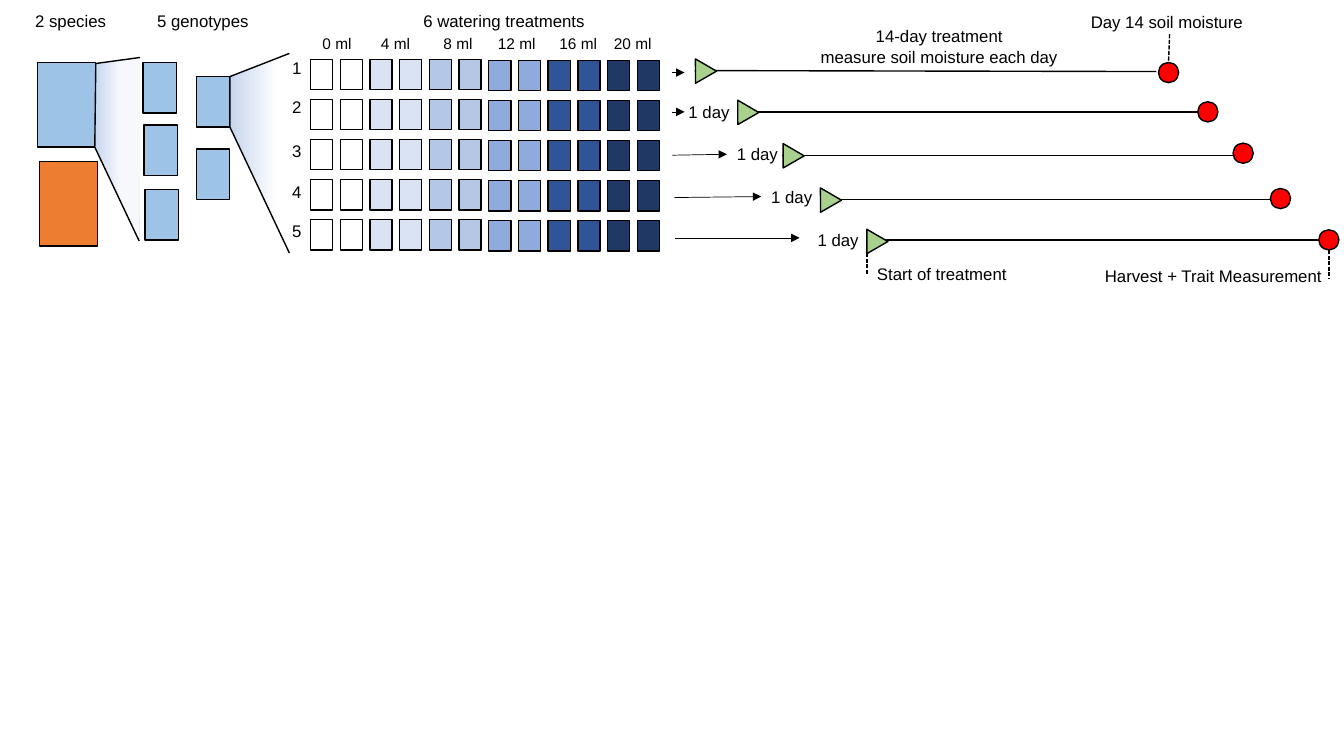
from pptx import Presentation
from pptx.util import Inches, Pt
from pptx.dml.color import RGBColor
from pptx.enum.dml import MSO_LINE
from pptx.enum.shapes import MSO_CONNECTOR as Link, MSO_SHAPE as Kind
from pptx.enum.text import MSO_AUTO_SIZE as Fit, PP_ALIGN as Align
from pptx.oxml.ns import qn
from lxml.etree import SubElement

BLACK = RGBColor(0x00, 0x00, 0x00)
BLUE = RGBColor(0x9D, 0xC3, 0xE6)
ORANGE = RGBColor(0xED, 0x7D, 0x31)
GREEN = RGBColor(0xA9, 0xD1, 0x8E)
RED = RGBColor(0xFF, 0x00, 0x00)
HAZE = RGBColor(0xC7, 0xD5, 0xED)
PALE = RGBColor(0xF6, 0xF8, 0xFC)
WHITE = RGBColor(0xFF, 0xFF, 0xFF)

# Watering treatments: label, left, width, fill
DOSES = [
    ("0 ml", 3.10, 0.49, WHITE),
    ("4 ml", 3.68, 0.49, RGBColor(0xDA, 0xE3, 0xF3)),
    ("8 ml", 4.30, 0.49, RGBColor(0xB4, 0xC7, 0xE7)),
    ("12 ml", 4.84, 0.58, RGBColor(0x8F, 0xAA, 0xDC)),
    ("16 ml", 5.45, 0.58, RGBColor(0x2F, 0x55, 0x97)),
    ("20 ml", 5.99, 0.58, RGBColor(0x20, 0x38, 0x64)),
]

# Batches: number top, arrow ends, delay label, start flag, timeline y's, harvest dot
BATCHES = [
    (0.52, (6.67, 0.72, 6.79, 0.72), None, (6.83, 0.57), (0.70, 0.71), (11.49, 0.62)),
    (0.91, (6.67, 1.11, 6.79, 1.11), (6.73, 0.96), (7.25, 0.98), (1.11, 1.11), (11.88, 1.01)),
    (1.35, (6.67, 1.54, 7.21, 1.53), (7.21, 1.38), (7.70, 1.41), (1.54, 1.54), (12.23, 1.42)),
    (1.75, (6.69, 1.96, 7.55, 1.95), (7.55, 1.80), (8.07, 1.85), (1.98, 1.98), (12.60, 1.87)),
    (2.14, (6.69, 2.36, 7.93, 2.36), (8.01, 2.23), (8.53, 2.26), (2.38, 2.38), (13.08, 2.28)),
]
SPAN = 4.58  # length of the 14-day timeline

# Captions: text, left, top, width
NOTES = [
    ("2 species", 0.25, 0.06, 0.91),
    ("5 genotypes", 1.46, 0.06, 1.12),
    ("6 watering treatments", 4.10, 0.06, 1.82),
    ("Day 14 soil moisture", 10.72, 0.07, 1.72),
    ("Start of treatment", 8.60, 2.57, 1.50),
    ("Harvest + Trait Measurement", 10.86, 2.59, 2.37),
]
LEADS = [(8.60, 2.51, 8.60, 2.72), (13.18, 2.48, 13.18, 2.76), (11.60, 0.34, 11.59, 0.62)]

SPECIES = [(0.37, 0.62, BLUE), (0.39, 1.60, ORANGE)]
GENES = [(1.42, 0.62), (1.43, 1.24), (1.44, 1.88), (1.95, 0.76), (1.95, 1.48)]

# Zoom wedges: corners, end colour, end position of the gradient
WEDGES = [
    ([(1.39, 0.57), (0.95, 0.63), (0.94, 1.46), (1.38, 2.39)], PALE, 0.56),
    ([(2.87, 0.53), (2.28, 0.76), (2.28, 1.26), (2.87, 2.51)], WHITE, 0.80),
]

# Pot grid
LEFT, TOP = 3.08, 0.59
STEP, DROP = (6.32 - LEFT) / 11, (2.18 - TOP) / 4

prs = Presentation()
prs.slide_width, prs.slide_height = Inches(13.33), Inches(7.5)
slide = prs.slides.add_slide(prs.slide_layouts[6])
shapes = slide.shapes


def edge(item):
    item.line.color.rgb = BLACK
    item.line.width = Pt(1)


def block(kind, x, y, w, h, fill):
    item = shapes.add_shape(kind, Inches(x), Inches(y), Inches(w), Inches(h))
    item.shadow.inherit = False
    item.fill.solid()
    item.fill.fore_color.rgb = fill
    edge(item)
    return item


def line(x1, y1, x2, y2):
    item = shapes.add_connector(Link.STRAIGHT, *map(Inches, (x1, y1, x2, y2)))
    edge(item)
    SubElement(item._element.spPr, qn("a:effectLst"))
    return item


def label(text, x, y, w, h=0.3, size=12, align=Align.LEFT):
    frame = shapes.add_textbox(Inches(x), Inches(y), Inches(w), Inches(h)).text_frame
    frame.word_wrap = False
    frame.auto_size = Fit.SHAPE_TO_FIT_TEXT
    frame.text = text
    for para in frame.paragraphs:
        para.alignment = align
        para.font.name = "Arial"
        para.font.size = Pt(size)
        para.font.color.rgb = BLACK


# Pots: two columns per treatment, one row per batch
for col in range(2 * len(DOSES)):
    shift = 0.01 if col >= 6 else 0
    for row in range(len(BATCHES)):
        block(Kind.RECTANGLE, LEFT + col * STEP, TOP + shift + row * DROP,
              0.22, 0.3, DOSES[col // 2][3])
for name, x, w, _ in DOSES:
    label(name, x, 0.29, w, 0.29, 11)

# Timelines
for num, (top, arrow, delay, flag, (y1, y2), dot) in enumerate(BATCHES, 1):
    label(str(num), 2.8, top, 0.33)
    begin = flag[0] + 0.06
    line(begin, y1, begin + SPAN, y2)
    if delay:
        label("1 day", *delay, 0.61)
    block(Kind.ISOSCELES_TRIANGLE, *flag, 0.24, 0.21, GREEN).rotation = 330
    block(Kind.OVAL, *dot, 0.2, 0.2, RED)
    link = line(*arrow)
    link.line.width = Pt(0.5)
    SubElement(link.line._get_or_add_ln(), qn("a:tailEnd"), type="triangle")

# Captions and dashed leaders
label("14-day treatment\nmeasure soil moisture each day", 7.99, 0.21, 2.65, 0.5,
      align=Align.CENTER)
for note in NOTES:
    label(*note)
for lead in LEADS:
    line(*lead).line.dash_style = MSO_LINE.SQUARE_DOT

# Species and genotypes
for x, y, fill in SPECIES:
    block(Kind.RECTANGLE, x, y, 0.58, 0.84, fill)
for x, y in GENES:
    block(Kind.RECTANGLE, x, y, 0.33, 0.5, BLUE)

# Zoom wedges
for spots, tint, stop in WEDGES:
    first, *rest = [(Inches(x), Inches(y)) for x, y in spots]
    path = shapes.build_freeform(*first)
    path.add_line_segments(rest, close=False)
    wedge = path.convert_to_shape()
    wedge.shadow.inherit = False
    wedge.fill.gradient()
    wedge.fill.gradient_angle = 0
    start, end = wedge.fill.gradient_stops
    start.color.rgb, start.position = HAZE, 0
    end.color.rgb, end.position = tint, stop
    edge(wedge)

prs.save("out.pptx")
